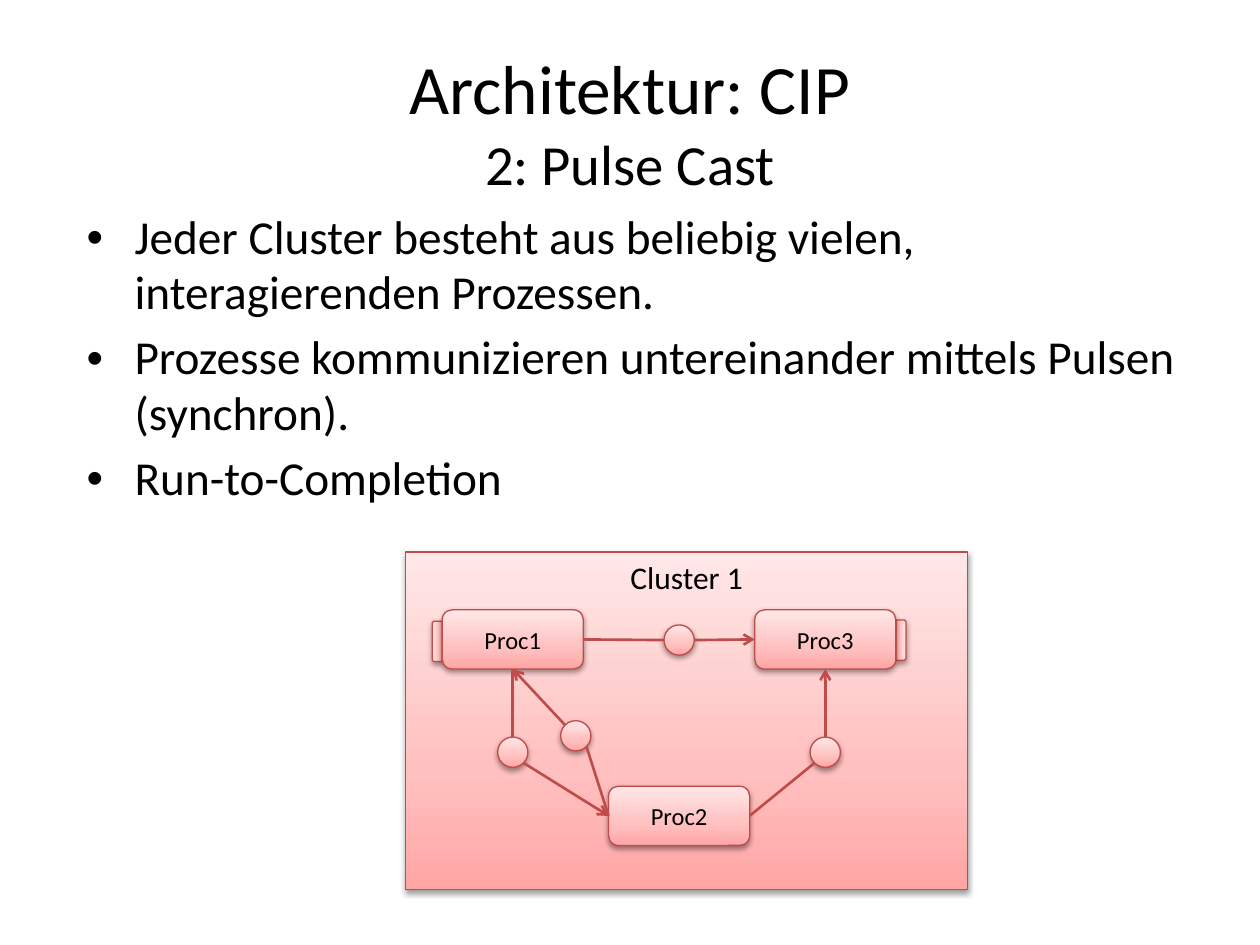
from copy import deepcopy

from lxml import etree
from pptx import Presentation
from pptx.dml.color import RGBColor
from pptx.enum.shapes import MSO_CONNECTOR, MSO_SHAPE
from pptx.enum.text import MSO_ANCHOR, MSO_AUTO_SIZE, PP_ALIGN
from pptx.oxml.ns import qn
from pptx.util import Inches, Pt

RECT = MSO_SHAPE.RECTANGLE
ROUNDED = MSO_SHAPE.ROUNDED_RECTANGLE
CIRCLE = MSO_SHAPE.FLOWCHART_CONNECTOR
SNIPPED = MSO_SHAPE.SNIP_2_SAME_RECTANGLE
STRAIGHT = MSO_CONNECTOR.STRAIGHT
CENTER = PP_ALIGN.CENTER
TOP, MIDDLE = MSO_ANCHOR.TOP, MSO_ANCHOR.MIDDLE
NO_AUTOFIT = MSO_AUTO_SIZE.NONE

FONT = "Calibri"
BLACK = "000000"
RED = "BF4C48"
GRADIENT = [(0, "FFA6A5"), (0.35, "FFC0BF"), (1, "FFE7E7")]

TITLE_BOX = (0.5, 0.3, 9, 1.32)
BODY_BOX = (0.59, 1.62, 9, 2)
CLUSTER_BOX = (3.22, 4.38, 4.46, 2.68)
BULLETS = [
    "Jeder Cluster besteht aus beliebig vielen, interagierenden Prozessen.",
    "Prozesse kommunizieren untereinander mittels Pulsen (synchron).",
    "Run-to-Completion",
]

PROCESS_SIZE = (1.12, 0.47)
PULSE_SIZE = (0.24, 0.24)
PORT_SIZE = (0.32, 0.08)
PROCESSES = {"Proc1": (0.29, 0.46), "Proc2": (1.61, 1.86), "Proc3": (2.77, 0.46)}
PULSES = {"1-3": (2.05, 0.58), "1-2": (0.73, 1.47),
          "2-3": (3.21, 1.47), "2-1": (1.23, 1.34)}
PORTS = [(0.09, 0.67, 270), (3.77, 0.66, 90)]

LEFT, RIGHT, UPPER, LOWER = (0, 0.5), (1, 0.5), (0.5, 0), (0.5, 1)
UPPER_LEFT, LOWER_LEFT, LOWER_RIGHT = (0.15, 0.15), (0.15, 0.85), (0.85, 0.85)
LINKS = [
    ("Proc1", RIGHT, "1-3", LEFT, False),
    ("1-3", RIGHT, "Proc3", LEFT, True),
    ("Proc1", LOWER, "1-2", UPPER, False),
    ("1-2", LOWER_RIGHT, "Proc2", LEFT, True),
    ("Proc2", RIGHT, "2-3", LOWER_LEFT, False),
    ("2-3", UPPER, "Proc3", LOWER, True),
    ("Proc2", LEFT, "2-1", LOWER_RIGHT, False),
    ("2-1", UPPER_LEFT, "Proc1", LOWER, True),
]


def rgb(color):
    """Turn a hex string into a colour."""
    return RGBColor.from_string(color)


def set_font(font, size):
    """Apply the slide's typeface in black at the given size."""
    font.name, font.size = FONT, Pt(size)
    font.color.rgb = rgb(BLACK)


def add_title(slide, box):
    """Place the two-line title."""
    title = slide.shapes.title
    title.left, title.top, title.width, title.height = map(Inches, box)
    frame = title.text_frame
    frame.auto_size, frame.vertical_anchor = NO_AUTOFIT, MIDDLE
    heading = frame.paragraphs[0]
    heading.alignment = CENTER
    main = heading.add_run()
    main.text = "Architektur: CIP"
    heading.add_line_break()
    subtitle = heading.add_run()
    subtitle.text = "2: Pulse Cast"
    set_font(main.font, 39.6)
    set_font(subtitle.font, 32.4)


def add_bullets(slide, box):
    """Place the bulleted statements."""
    frame = slide.shapes.add_textbox(*map(Inches, box)).text_frame
    frame.word_wrap = True
    frame.text = "\n".join(BULLETS)
    for statement in frame.paragraphs:
        set_font(statement.font, 27)
        statement.space_before = Pt(6)
        statement.line_spacing = 0.97
        properties = statement._p.get_or_add_pPr()
        properties.set("marL", str(Inches(0.38)))
        properties.set("indent", str(Inches(-0.38)))
        bullet_font = etree.Element(qn("a:buFont"), typeface="Arial")
        bullet = etree.Element(qn("a:buChar"), char="•")
        spacing = properties.find(qn("a:spcBef"))
        spacing.addnext(bullet_font)
        bullet_font.addnext(bullet)


def add_shadow(shape):
    """Give a shape a soft shadow below."""
    shape.shadow.inherit = False
    effects = shape._element.spPr.find(qn("a:effectLst"))
    shadow = etree.SubElement(effects, qn("a:outerShdw"), blurRad=str(Pt(3.1)),
                              dist=str(Pt(1.6)), dir="5400000", rotWithShape="0")
    color = etree.SubElement(shadow, qn("a:srgbClr"), val=BLACK)
    etree.SubElement(color, qn("a:alpha"), val="38000")


def add_node(slide, kind, box, label="", size=14, anchor=MIDDLE, rotation=0):
    """Add a red gradient shape with an optional label."""
    node = slide.shapes.add_shape(kind, *map(Inches, box))
    node.rotation = rotation
    node.fill.gradient()
    node.fill.gradient_angle = 90
    stops = node._element.spPr.find(qn("a:gradFill")).find(qn("a:gsLst"))
    stops.append(deepcopy(stops[0]))
    for stop, (position, color) in zip(node.fill.gradient_stops, GRADIENT):
        stop.position, stop.color.rgb = position, rgb(color)
    node.line.color.rgb, node.line.width = rgb(RED), Pt(0.75)
    add_shadow(node)
    if label:
        frame = node.text_frame
        frame.text, frame.vertical_anchor = label, anchor
        frame.paragraphs[0].alignment = CENTER
        set_font(frame.paragraphs[0].font, size)


def add_link(slide, start, end, arrow):
    """Draw a line between two points, with an arrowhead if wanted."""
    link = slide.shapes.add_connector(STRAIGHT, *map(Inches, start + end))
    link.line.color.rgb, link.line.width = rgb(RED), Pt(1.5)
    if arrow:
        etree.SubElement(link.line._get_or_add_ln(), qn("a:tailEnd"), type="arrow")
    etree.SubElement(link._element.spPr, qn("a:effectLst"))


def point_on(box, site):
    """Return the point at a fractional site of a box."""
    left, top, width, height = box
    return left + site[0] * width, top + site[1] * height


def add_cluster(slide, box):
    """Draw the cluster with its processes, pulses, ports and links."""
    left, top = box[:2]

    def place(offset, size):
        """Return the box at an offset inside the cluster."""
        return (left + offset[0], top + offset[1], *size)

    add_node(slide, RECT, box, "Cluster 1", 18, TOP)
    for x, y, rotation in PORTS:
        add_node(slide, SNIPPED, place((x, y), PORT_SIZE), rotation=rotation)
    boxes = {}
    for name, offset in PROCESSES.items():
        boxes[name] = place(offset, PROCESS_SIZE)
        add_node(slide, ROUNDED, boxes[name], name)
    for name, offset in PULSES.items():
        boxes[name] = place(offset, PULSE_SIZE)
        add_node(slide, CIRCLE, boxes[name])
    for source, exit_site, target, entry_site, arrow in LINKS:
        add_link(slide, point_on(boxes[source], exit_site),
                 point_on(boxes[target], entry_site), arrow)


def main():
    """Build and save the presentation."""
    deck = Presentation()
    deck.slide_width, deck.slide_height = Inches(10), Inches(7.5)
    slide = deck.slides.add_slide(deck.slide_layouts[5])
    add_title(slide, TITLE_BOX)
    add_bullets(slide, BODY_BOX)
    add_cluster(slide, CLUSTER_BOX)
    deck.save("out.pptx")


if __name__ == "__main__":
    main()
